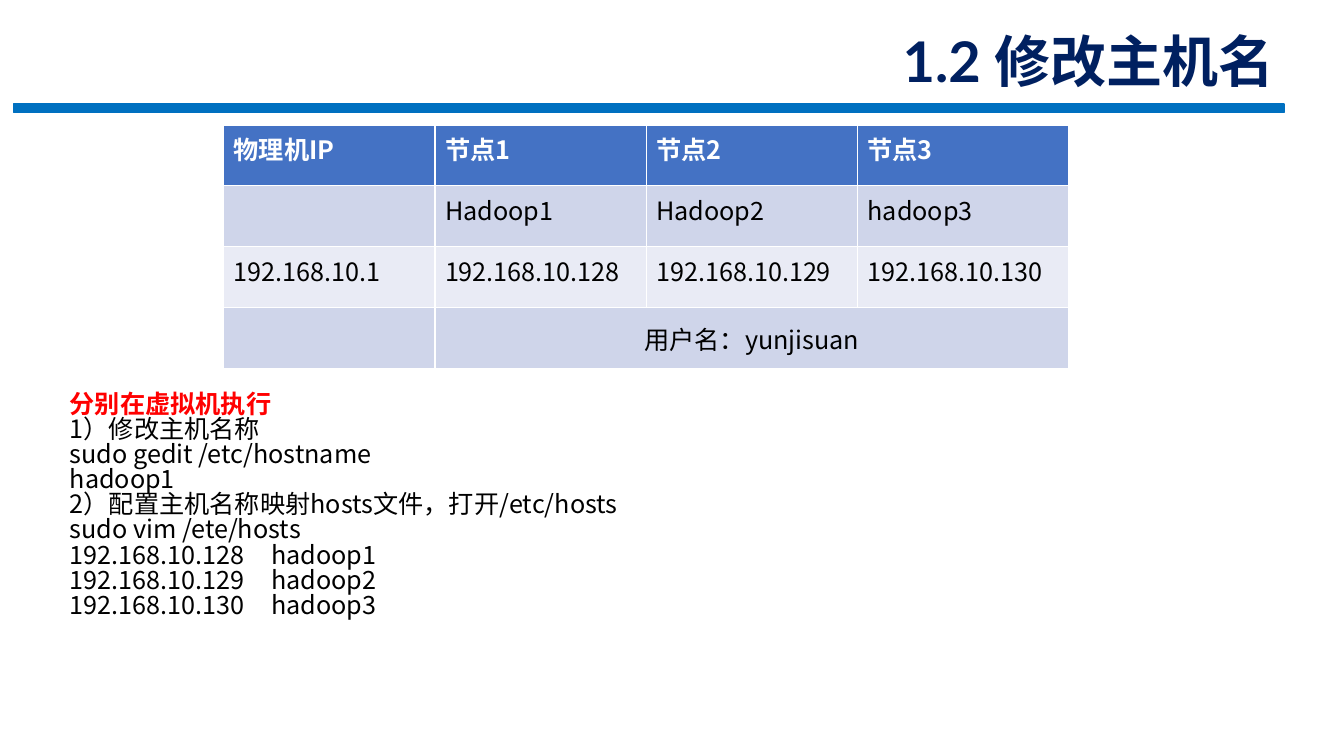
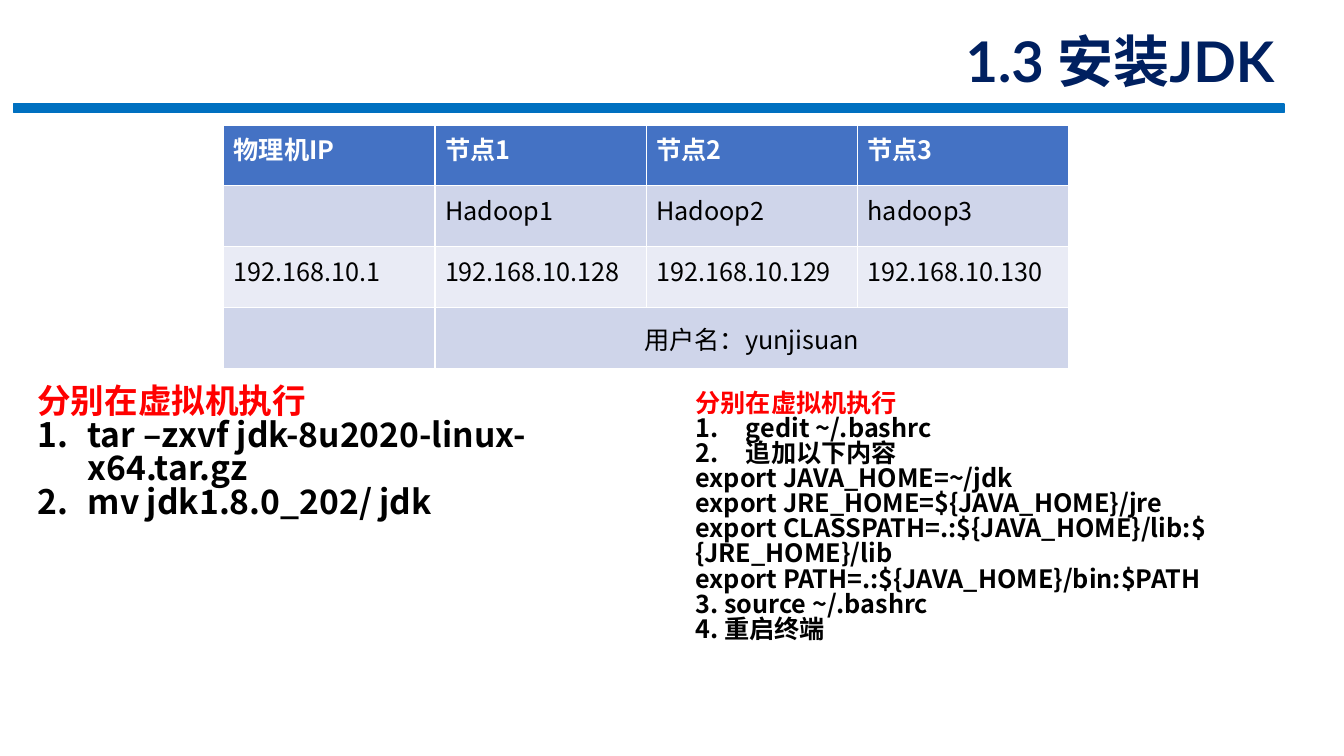
from dataclasses import dataclass

from lxml import etree
from pptx import Presentation
from pptx import util as u
from pptx.dml.color import RGBColor
from pptx.enum import shapes, text
from pptx.oxml import ns

PX = 9525
BLUE, NAVY, RED, BLACK, WHITE = "0070C0", "002060", "FF0000", "000000", "FFFFFF"
HEADER_FILL, BAND_FILLS = "4472C4", ("CFD5EA", "E9EBF5")
TITLE_FONT, BODY_FONT = "Lato", "Noto Sans CJK SC"
BODY_LINE_SPACING = 0.83
NUMBER_INDENT = 48

NODE_ROWS = [
    ["物理机IP", "节点1", "节点2", "节点3"],
    ["", "Hadoop1", "Hadoop2", "hadoop3"],
    ["192.168.10.1", "192.168.10.128", "192.168.10.129", "192.168.10.130"],
    ["", "用户名：yunjisuan", "", ""],
]


@dataclass(frozen=True)
class Box:
    left: int
    top: int
    width: int
    height: int

    def emu(self) -> list[int]:
        return [px(side) for side in (self.left, self.top, self.width, self.height)]


@dataclass(frozen=True)
class Line:
    words: str
    numbered: bool = False


@dataclass(frozen=True)
class Steps:
    """A red heading followed by black instruction lines."""
    box: Box
    size: int
    bold: bool
    lines: list[Line]
    heading: str = "分别在虚拟机执行"


@dataclass(frozen=True)
class Page:
    title: str
    steps: list[Steps]


TITLE_BOX = Box(615, 33, 608, 56)
BAR_BOX = Box(13, 99, 1210, 8)
TABLE_BOX = Box(213, 119, 805, 232)

PAGES = [
    Page("1.2 修改主机名", [
        Steps(Box(57, 370, 640, 272), 18, False, [
            Line("1）修改主机名称"),
            Line("sudo gedit /etc/hostname"),
            Line("hadoop1"),
            Line("2）配置主机名称映射hosts文件，打开/etc/hosts"),
            Line("sudo vim /ete/hosts"),
            Line("192.168.10.128\thadoop1"),
            Line("192.168.10.129\thadoop2"),
            Line("192.168.10.130\thadoop3"),
        ]),
    ]),
    Page("1.3 安装JDK", [
        Steps(Box(26, 364, 614, 165), 24, True, [
            Line("tar –zxvf jdk-8u2020-linux-x64.tar.gz", numbered=True),
            Line("mv jdk1.8.0_202/ jdk", numbered=True),
        ]),
        Steps(Box(653, 369, 640, 300), 18, True, [
            Line("gedit ~/.bashrc", numbered=True),
            Line("追加以下内容", numbered=True),
            Line("export JAVA_HOME=~/jdk"),
            Line("export JRE_HOME=${JAVA_HOME}/jre"),
            Line("export CLASSPATH=.:${JAVA_HOME}/lib:${JRE_HOME}/lib"),
            Line("export PATH=.:${JAVA_HOME}/bin:$PATH"),
            Line("3. source ~/.bashrc"),
            Line("4. 重启终端"),
        ]),
    ]),
]


def px(length: int) -> int:
    return u.Emu(length * PX)


def colour(value: str) -> RGBColor:
    return RGBColor.from_string(value)


def add_run(paragraph, words: str, fill: str, **font_format) -> None:
    """Add formatted text, with the body font for Chinese characters."""
    run = paragraph.add_run()
    run.text = words
    for name, value in font_format.items():
        setattr(run.font, name, value)
    run.font.color.rgb = colour(fill)
    east_asian = etree.SubElement(run._r.get_or_add_rPr(), ns.qn("a:ea"))
    east_asian.set("typeface", BODY_FONT)


def number_paragraph(paragraph) -> None:
    properties = paragraph._p.get_or_add_pPr()
    properties.set("marL", str(px(NUMBER_INDENT)))
    properties.set("indent", str(-px(NUMBER_INDENT)))
    bullet = etree.SubElement(properties, ns.qn("a:buAutoNum"))
    bullet.set("type", "arabicPeriod")


def add_title(slide, title: str) -> None:
    frame = slide.shapes.add_textbox(*TITLE_BOX.emu()).text_frame
    frame_format = {"word_wrap": True, "margin_bottom": 0,
                    "vertical_anchor": text.MSO_ANCHOR.BOTTOM}
    for name, value in frame_format.items():
        setattr(frame, name, value)
    paragraph = frame.paragraphs[0]
    paragraph.alignment = text.PP_ALIGN.RIGHT
    add_run(paragraph, title, NAVY, name=TITLE_FONT, size=u.Pt(40), bold=True)


def add_bar(slide) -> None:
    bar = slide.shapes.add_shape(shapes.MSO_SHAPE.RECTANGLE, *BAR_BOX.emu())
    bar.shadow.inherit = False
    bar.fill.solid()
    bar.fill.fore_color.rgb = colour(BLUE)
    bar.line.color.rgb = colour(BLUE)
    bar.line.width = u.Pt(1)


def add_node_table(slide) -> None:
    """The table style supplies the white rules between cells."""
    table = slide.shapes.add_table(
        len(NODE_ROWS), len(NODE_ROWS[0]), *TABLE_BOX.emu()).table
    for row, values in enumerate(NODE_ROWS):
        is_header = row == 0
        fill = HEADER_FILL if is_header else BAND_FILLS[(row - 1) % 2]
        for column, words in enumerate(values):
            cell = table.cell(row, column)
            cell.fill.solid()
            cell.fill.fore_color.rgb = colour(fill)
            if words:
                add_run(cell.text_frame.paragraphs[0], words,
                        WHITE if is_header else BLACK,
                        name=BODY_FONT, size=u.Pt(18), bold=is_header)
    last = len(NODE_ROWS) - 1
    user_cell = table.cell(last, 1)
    user_cell.merge(table.cell(last, len(NODE_ROWS[0]) - 1))
    user_cell.vertical_anchor = text.MSO_ANCHOR.MIDDLE
    user_cell.text_frame.paragraphs[0].alignment = text.PP_ALIGN.CENTER


def add_steps(slide, steps: Steps) -> None:
    frame = slide.shapes.add_textbox(*steps.box.emu()).text_frame
    frame.word_wrap = True
    frame.auto_size = text.MSO_AUTO_SIZE.SHAPE_TO_FIT_TEXT
    for index, line in enumerate([Line(steps.heading), *steps.lines]):
        is_heading = index == 0
        paragraph = frame.paragraphs[0] if is_heading else frame.add_paragraph()
        paragraph.line_spacing = BODY_LINE_SPACING
        if line.numbered:
            number_paragraph(paragraph)
        add_run(paragraph, line.words, RED if is_heading else BLACK,
                name=BODY_FONT, size=u.Pt(steps.size),
                bold=is_heading or steps.bold)


def main() -> None:
    presentation = Presentation()
    presentation.slide_width, presentation.slide_height = px(1280), px(720)
    for page in PAGES:
        slide = presentation.slides.add_slide(presentation.slide_layouts[6])
        add_bar(slide)
        add_title(slide, page.title)
        add_node_table(slide)
        for steps in page.steps:
            add_steps(slide, steps)
    presentation.save("out.pptx")


if __name__ == "__main__":
    main()
